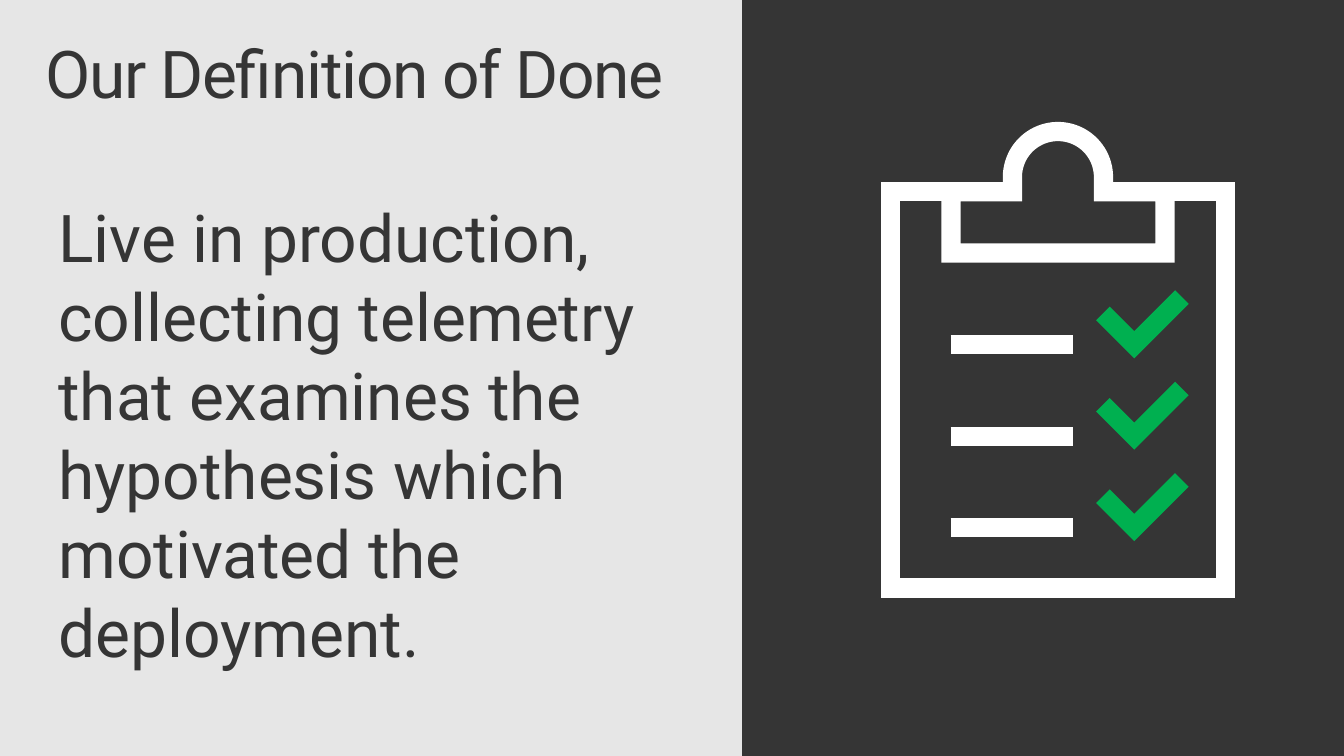
import math
from dataclasses import dataclass

from lxml import etree
from pptx import Presentation
from pptx.dml.color import RGBColor
from pptx.enum import shapes, text
from pptx.oxml import ns
from pptx.util import Cm, Pt


@dataclass(frozen=True)
class Theme:
    paper: RGBColor = RGBColor(0xE6, 0xE6, 0xE6)
    dark: RGBColor = RGBColor(0x35, 0x35, 0x35)
    outline: RGBColor = RGBColor(0xFF, 0xFF, 0xFF)
    done: RGBColor = RGBColor(0x00, 0xB0, 0x50)
    font: str = "Roboto"
    text_size: Pt = Pt(48)
    stroke: Pt = Pt(14)


THEME = Theme()
WIDTH, HEIGHT = 34.54, 19.43
PANEL_LEFT = 19.07

CENTRE = 27.19
BOARD_HALF, BOARD_TOP, BOARD_BOTTOM = 4.3, 4.93, 15.11
CLIP_HALF, CLIP_BOTTOM = 2.75, 6.5
RING_RADIUS, RING_Y = 1.17, 4.55
FIRST_ITEM, ITEM_STEP, ITEM_COUNT = 8.86, 2.35, 3


def add_panel(slide):
    panel = slide.shapes.add_shape(
        shapes.MSO_SHAPE.RECTANGLE,
        Cm(PANEL_LEFT), 0, Cm(WIDTH - PANEL_LEFT), Cm(HEIGHT))
    panel.shadow.inherit = False
    panel.fill.solid()
    panel.fill.fore_color.rgb = THEME.dark
    panel.line.fill.background()


def add_text(slide, left, top, width, height, lines, line_spacing=None, tracking=None):
    """Add one paragraph per line; tracking is in hundredths of a point."""
    frame = slide.shapes.add_textbox(Cm(left), Cm(top), Cm(width), Cm(height)).text_frame
    frame.word_wrap = True
    frame.margin_left = frame.margin_right = Cm(0.41)
    frame.margin_top = frame.margin_bottom = Cm(0.25)
    frame.vertical_anchor = text.MSO_ANCHOR.TOP
    for index, line in enumerate(lines):
        paragraph = frame.add_paragraph() if index else frame.paragraphs[0]
        if line_spacing:
            paragraph.line_spacing = line_spacing
        run = paragraph.add_run()
        run.text = line
        run.font.name = THEME.font
        run.font.size = THEME.text_size
        run.font.color.rgb = THEME.dark
        if tracking:
            run._r.get_or_add_rPr().set("spc", str(tracking))


def add_stroke(slide, contours, color, cap="flat"):
    """Draw (points, closed) contours as one unfilled shape with sharp corners."""
    builder = None
    for points, closed in contours:
        start, *rest = [(Cm(x), Cm(y)) for x, y in points]
        if builder is None:
            builder = slide.shapes.build_freeform(*start, scale=1.0)
        else:
            builder.move_to(*start)
        builder.add_line_segments(rest, close=closed)
    stroke = builder.convert_to_shape()
    stroke.shadow.inherit = False
    stroke.fill.background()
    stroke.line.color.rgb = color
    stroke.line.width = THEME.stroke
    outline = stroke._element.spPr.find(ns.qn("a:ln"))
    outline.set("cap", cap)
    etree.SubElement(outline, ns.qn("a:miter"), lim="800000")


def clip_points():
    ring = [(CENTRE - RING_RADIUS * math.cos(math.radians(angle)),
             RING_Y - RING_RADIUS * math.sin(math.radians(angle)))
            for angle in range(0, 181, 4)]
    left, right = CENTRE - CLIP_HALF, CENTRE + CLIP_HALF
    return [(CENTRE - RING_RADIUS, BOARD_TOP), *ring,
            (CENTRE + RING_RADIUS, BOARD_TOP), (right, BOARD_TOP),
            (right, CLIP_BOTTOM), (left, CLIP_BOTTOM), (left, BOARD_TOP)]


def board_points():
    left, right = CENTRE - BOARD_HALF, CENTRE + BOARD_HALF
    return [(CENTRE - CLIP_HALF, BOARD_TOP), (left, BOARD_TOP),
            (left, BOARD_BOTTOM), (right, BOARD_BOTTOM),
            (right, BOARD_TOP), (CENTRE + CLIP_HALF, BOARD_TOP)]


def add_clipboard(slide):
    items = [FIRST_ITEM + ITEM_STEP * row for row in range(ITEM_COUNT)]
    entries = [([(24.43, y), (27.58, y)], False) for y in items]
    add_stroke(slide, [(clip_points(), True), (board_points(), False), *entries],
               THEME.outline)
    for y in items:
        tick = [(28.52, y - 0.63), (29.15, y), (30.2, y - 1.05)]
        add_stroke(slide, [(tick, False)], THEME.done, cap="sq")


def main():
    deck = Presentation()
    deck.slide_width, deck.slide_height = Cm(WIDTH), Cm(HEIGHT)
    slide = deck.slides.add_slide(deck.slide_layouts[6])
    slide.background.fill.solid()
    slide.background.fill.fore_color.rgb = THEME.paper

    add_panel(slide)
    add_text(slide, 0.76, 0.81, 33.02, 2.54, ["Our Definition of Done"],
             line_spacing=0.9, tracking=-100)
    add_text(slide, 1.09, 4.8, 16.41, 12.83, [
        "Live in production,",
        "collecting telemetry",
        "that examines the hypothesis which motivated the deployment.",
    ])
    add_clipboard(slide)
    deck.save("out.pptx")


if __name__ == "__main__":
    main()
